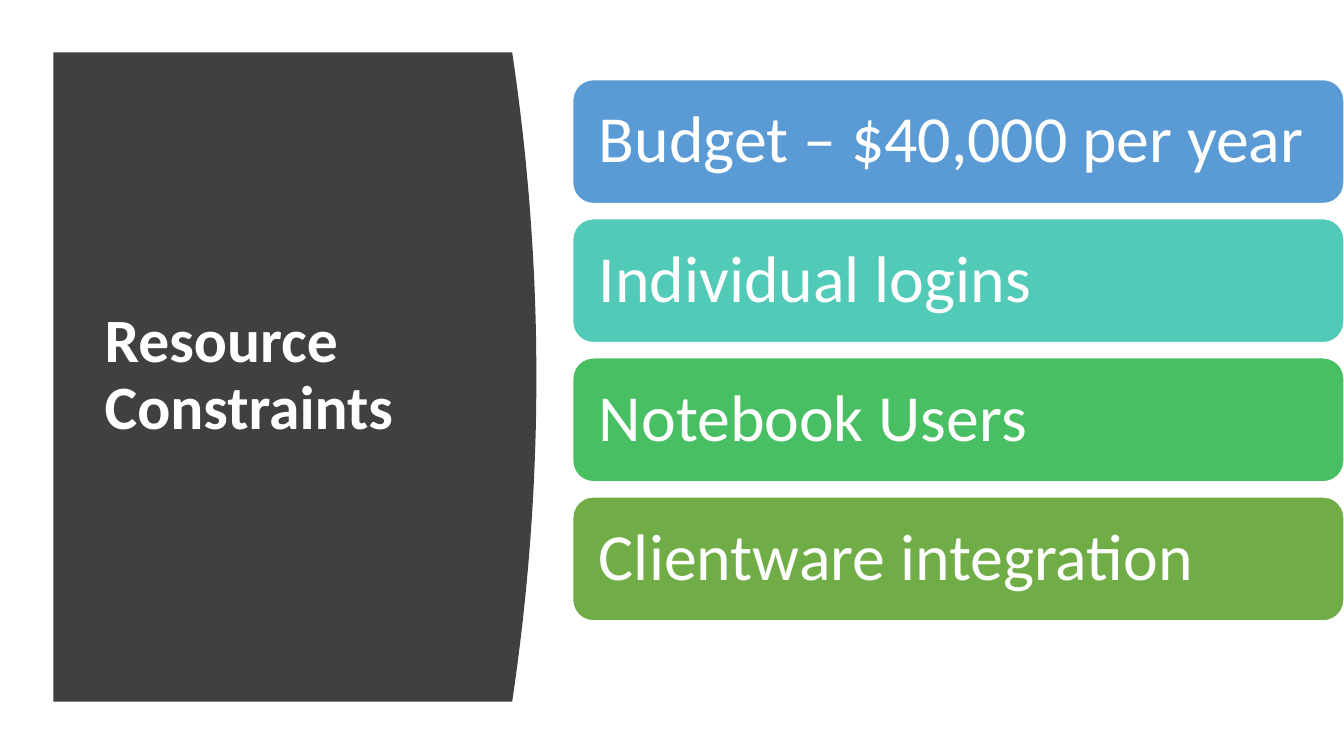
"""Build the Resource Constraints slide."""
from pptx import Presentation
from pptx import util as u
from pptx.dml.color import RGBColor
from pptx.enum import shapes, text


def color(hex_code):
    return RGBColor.from_string(hex_code)


def set_text(frame, wording, size, bold=False):
    frame.word_wrap = True
    frame.vertical_anchor = text.MSO_ANCHOR.MIDDLE
    paragraph = frame.paragraphs[0]
    paragraph.text = wording
    paragraph.alignment = text.PP_ALIGN.LEFT
    paragraph.line_spacing = 0.9
    paragraph.font.name = "Calibri"
    paragraph.font.size = u.Pt(size)
    paragraph.font.bold = bold
    paragraph.font.color.rgb = color("FFFFFF")


deck = Presentation()
deck.slide_width, deck.slide_height = u.Inches(13.33), u.Inches(7.5)
slide = deck.slides.add_slide(deck.slide_layouts[6])

left, top, bottom = 0.53, 0.52, 6.96
edge, bulge, steps = 5.08, 0.24, 48
curve = []
for step in range(steps + 1):
    t = step / steps
    x = edge + bulge * (1 - (2 * t - 1) ** 2)
    curve.append((u.Inches(x), u.Inches(top + t * (bottom - top))))

outline = slide.shapes.build_freeform(u.Inches(left), u.Inches(top))
outline.add_line_segments(curve + [(u.Inches(left), u.Inches(bottom))], close=True)
panel = outline.convert_to_shape()
panel.shadow.inherit = False
panel.fill.solid()
panel.fill.fore_color.rgb = color("404040")
panel.line.fill.background()

title = slide.shapes.add_textbox(
    u.Inches(0.94), u.Inches(1.11), u.Inches(3.74), u.Inches(5.24))
set_text(title.text_frame, "Resource Constraints", 44, bold=True)

constraints = [
    ("Budget – $40,000 per year", "5B9BD5"),
    ("Individual logins", "52CAB8"),
    ("Notebook Users", "49BF64"),
    ("Clientware integration", "70AD47"),
]
for row, (wording, fill) in enumerate(constraints):
    bar = slide.shapes.add_shape(
        shapes.MSO_SHAPE.ROUNDED_RECTANGLE,
        u.Inches(5.68), u.Inches(0.79 + 1.38 * row), u.Inches(7.65), u.Inches(1.23))
    bar.shadow.inherit = False
    bar.fill.solid()
    bar.fill.fore_color.rgb = color(fill)
    bar.line.color.rgb = color("FFFFFF")
    bar.line.width = u.Pt(1)
    bar.text_frame.margin_left = bar.text_frame.margin_right = u.Inches(0.2)
    set_text(bar.text_frame, wording, 47)

deck.save("out.pptx")
